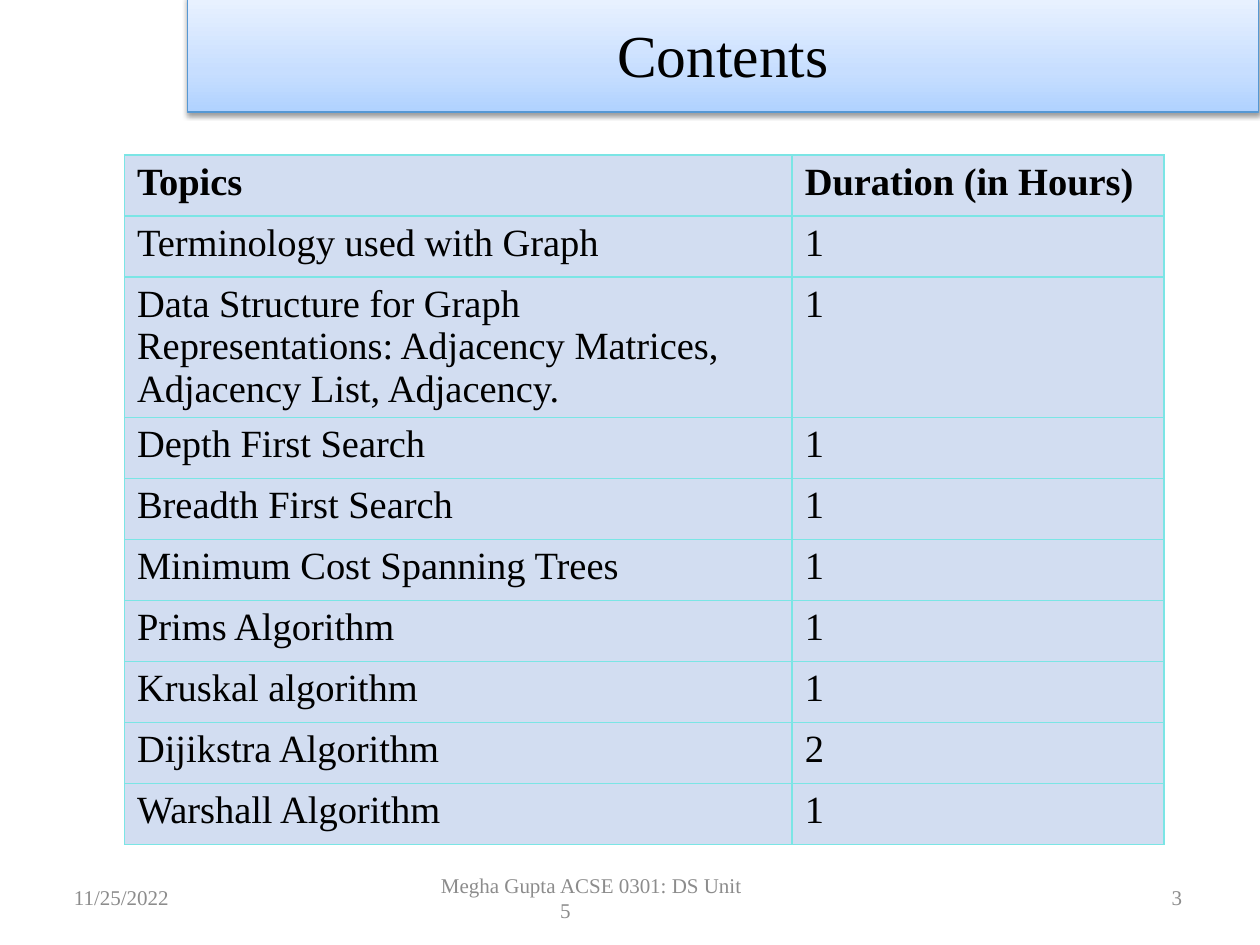
from dataclasses import dataclass

import lxml.etree
import pptx
import pptx.dml.color
import pptx.enum.shapes
import pptx.enum.text
import pptx.oxml.ns
import pptx.util

Cm = pptx.util.Cm
Pt = pptx.util.Pt
Align = pptx.enum.text.PP_ALIGN
qn = pptx.oxml.ns.qn

FONT = "Times New Roman"
BLACK = "000000"
ROW_HEIGHT = 1.23
TALL_ROW_HEIGHT = 2.83
COLUMN_WIDTHS = (13.46, 7.49)


@dataclass
class Topic:
    name: str
    hours: str
    height: float = ROW_HEIGHT


@dataclass
class FooterItem:
    text: str
    left: float
    width: float
    align: Align = Align.LEFT
    tabs: tuple[float, ...] = ()


TOPICS = [
    Topic("Topics", "Duration (in Hours)"),
    Topic("Terminology used with Graph", "1"),
    Topic(
        "Data Structure for Graph Representations: Adjacency Matrices, "
        "Adjacency List, Adjacency.",
        "1",
        TALL_ROW_HEIGHT,
    ),
    Topic("Depth First Search", "1"),
    Topic("Breadth First Search", "1"),
    Topic("Minimum Cost Spanning Trees", "1"),
    Topic("Prims Algorithm", "1"),
    Topic("Kruskal algorithm", "1"),
    Topic("Dijikstra Algorithm", "2"),
    Topic("Warshall Algorithm", "1"),
]

FOOTER = [
    FooterItem("11/25/2022", 1.24, 5.92),
    FooterItem("Megha Gupta\tACSE 0301: DS Unit\v\t5", 8.64, 8.05, tabs=(2.4, 3.7)),
    FooterItem("3", 18.16, 5.92, Align.RIGHT),
]


def rgb(color: str) -> pptx.dml.color.RGBColor:
    return pptx.dml.color.RGBColor.from_string(color)


def add_xml(parent, tag: str, **attributes):
    values = {name: str(value) for name, value in attributes.items()}
    return lxml.etree.SubElement(parent, qn(tag), values)


def write_text(
    text_frame,
    text: str,
    *,
    size: float,
    color: str = BLACK,
    bold: bool = False,
    align: Align = Align.LEFT,
    tabs: tuple[float, ...] = (),
) -> None:
    text_frame.word_wrap = True
    text_frame.text = text
    paragraph = text_frame.paragraphs[0]
    paragraph.alignment = align
    if tabs:
        tab_list = add_xml(paragraph._p.get_or_add_pPr(), "a:tabLst")
        for position in tabs:
            add_xml(tab_list, "a:tab", pos=int(Cm(position)), algn="l")
    for run in paragraph.runs:
        run.font.name = FONT
        run.font.size = Pt(size)
        run.font.bold = bold
        run.font.color.rgb = rgb(color)


def format_cell(cell) -> None:
    properties = cell._tc.get_or_add_tcPr()
    for side in ("a:lnL", "a:lnR", "a:lnT", "a:lnB"):
        border = add_xml(properties, side, w=int(Pt(1)))
        add_xml(add_xml(border, "a:solidFill"), "a:srgbClr", val="7BE5E5")
    cell.fill.solid()
    cell.fill.fore_color.rgb = rgb("8FAADC")
    fill_color = properties.find(qn("a:solidFill")).find(qn("a:srgbClr"))
    add_xml(fill_color, "a:alpha", val=40000)


def add_topic_table(slide, topics: list[Topic]) -> None:
    table = slide.shapes.add_table(
        len(topics),
        len(COLUMN_WIDTHS),
        Cm(2.51),
        Cm(3.12),
        Cm(sum(COLUMN_WIDTHS)),
        Cm(sum(topic.height for topic in topics)),
    ).table
    table.horz_banding = False
    table.first_row = False
    for column, width in zip(table.columns, COLUMN_WIDTHS):
        column.width = Cm(width)
    for index, topic in enumerate(topics):
        table.rows[index].height = Cm(topic.height)
        for cell, text in zip(table.rows[index].cells, (topic.name, topic.hours)):
            write_text(cell.text_frame, text, size=22, bold=index == 0)
            format_cell(cell)


def add_title(slide, text: str) -> None:
    shape = slide.shapes.add_shape(
        pptx.enum.shapes.MSO_SHAPE.RECTANGLE, Cm(3.78), Cm(-0.08), Cm(21.59), Cm(2.34)
    )
    shape.fill.gradient()
    shape.fill.gradient_angle = 90
    shape.line.color.rgb = rgb("5698D3")
    shape.line.width = Pt(0.75)
    shape.shadow.inherit = False

    properties = shape._element.spPr
    stops = properties.find(qn("a:gradFill")).find(qn("a:gsLst"))
    for stop in list(stops):
        stops.remove(stop)
    for percent, color in ((0, "B0D2FF"), (35, "C7DEFF"), (100, "EAF2FF")):
        add_xml(add_xml(stops, "a:gs", pos=percent * 1000), "a:srgbClr", val=color)

    shadow = add_xml(
        properties.find(qn("a:effectLst")),
        "a:outerShdw",
        blurRad=int(Pt(3.1)),
        dist=int(Pt(1.6)),
        dir=90 * 60000,
        rotWithShape=0,
    )
    add_xml(add_xml(shadow, "a:srgbClr", val=BLACK), "a:alpha", val=38000)

    shape.text_frame.vertical_anchor = pptx.enum.text.MSO_ANCHOR.MIDDLE
    write_text(shape.text_frame, text, size=34, align=Align.CENTER)


def add_footer_item(slide, item: FooterItem) -> None:
    shape = slide.shapes.add_textbox(Cm(item.left), Cm(17.58), Cm(item.width), Cm(1.02))
    shape.text_frame.vertical_anchor = pptx.enum.text.MSO_ANCHOR.MIDDLE
    write_text(
        shape.text_frame,
        item.text,
        size=12,
        color="8C8C8C",
        align=item.align,
        tabs=item.tabs,
    )


def main() -> None:
    presentation = pptx.Presentation()
    presentation.slide_width = Cm(25.4)
    presentation.slide_height = Cm(19.05)
    slide = presentation.slides.add_slide(presentation.slide_layouts[6])
    add_topic_table(slide, TOPICS)
    add_title(slide, "Contents")
    for item in FOOTER:
        add_footer_item(slide, item)
    presentation.save("out.pptx")


if __name__ == "__main__":
    main()
